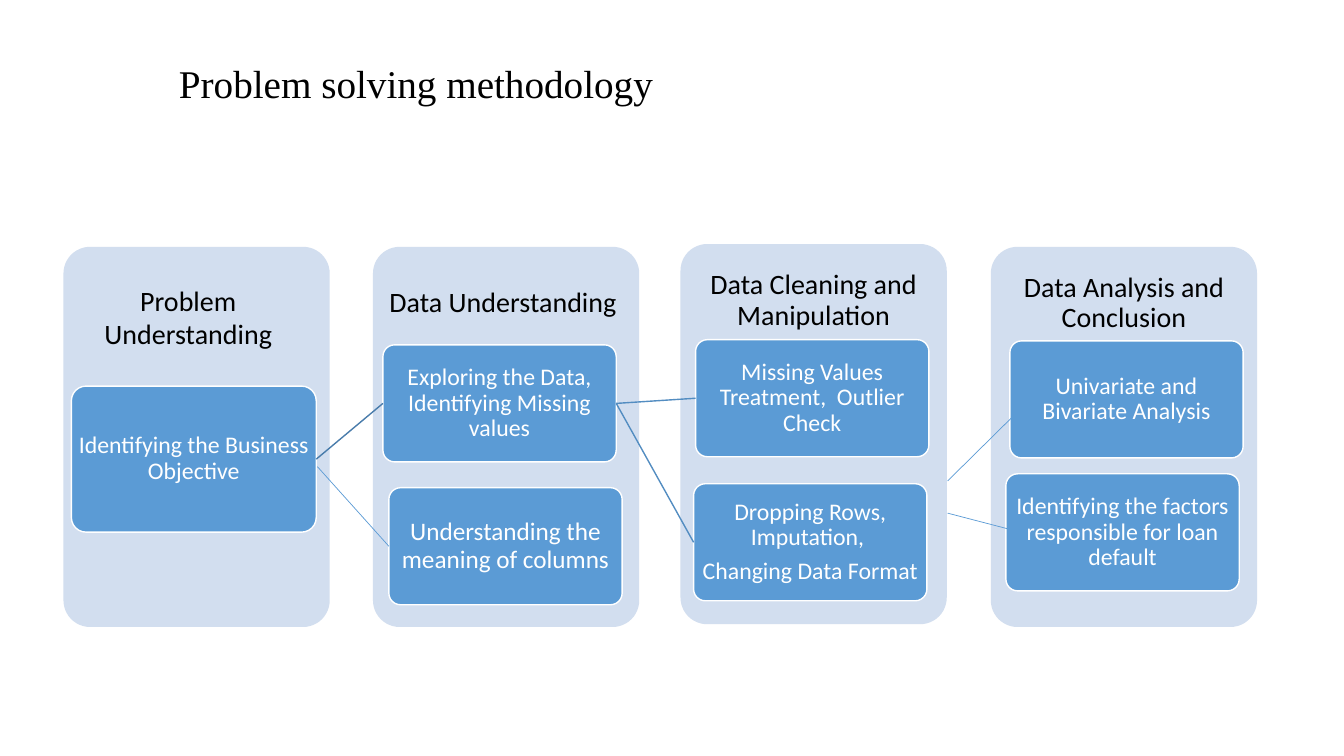
from lxml.etree import SubElement
from pptx import Presentation
from pptx.dml.color import RGBColor
from pptx.enum.shapes import MSO_CONNECTOR, MSO_SHAPE
from pptx.enum.text import MSO_ANCHOR, PP_ALIGN
from pptx.oxml.ns import qn
from pptx.util import Cm, Pt

BLACK = RGBColor(0x00, 0x00, 0x00)
WHITE = RGBColor(0xFF, 0xFF, 0xFF)
PALE_BLUE = RGBColor(0xD2, 0xDE, 0xEF)
BLUE = RGBColor(0x5B, 0x9B, 0xD5)
MID_BLUE = RGBColor(0x53, 0x8D, 0xC1)
DARK_BLUE = RGBColor(0x49, 0x7C, 0xAB)

PANEL_SIZE = (6.71, 9.58)
HEADING_HEIGHT = 2.87
STEP_SIZE = (5.88, 2.95)
LEFT_SIDE, RIGHT_SIDE = 1, 3

PANELS = [
    (1.6, 6.22, None),
    (9.4, 6.22, "Data Understanding "),
    (17.15, 6.15, "Data Cleaning and Manipulation"),
    (24.97, 6.22, "Data Analysis and Conclusion"),
]
STEPS = {
    "explore": (9.65, 8.69, 17, ["Exploring the Data, Identifying Missing values"]),
    "columns": (9.8, 12.29, 18, ["Understanding the meaning of columns"]),
    "missing": (17.53, 8.56, 17, ["Missing Values Treatment,  Outlier Check"]),
    "dropping": (17.48, 12.19, 17, ["Dropping Rows, Imputation, ", "Changing Data Format"]),
    "univariate": (25.45, 8.59, 17, ["Univariate and Bivariate Analysis"]),
    "factors": (25.35, 11.94, 17, ["Identifying the factors responsible for loan default"]),
}
JOINED_LINES = [
    ("objective", "explore", DARK_BLUE),
    ("explore", "missing", MID_BLUE),
    ("explore", "dropping", MID_BLUE),
]
ANALYSIS_LINES = [
    ((23.88, 12.93), (25.53, 13.36)),
    ((23.88, 12.12), (25.53, 10.49)),
]


class SlideBuilder:
    def __init__(self, page, font="Calibri"):
        self.page = page
        self.font = font

    def fill_text(self, shape, paragraphs, size, color, margin, spacing=0.9,
                  align=PP_ALIGN.CENTER, anchor=MSO_ANCHOR.MIDDLE, font=None):
        frame = shape.text_frame
        left, top, right, bottom = margin
        frame_format = {
            "word_wrap": True, "vertical_anchor": anchor,
            "margin_left": Cm(left), "margin_top": Cm(top),
            "margin_right": Cm(right), "margin_bottom": Cm(bottom),
        }
        for name, value in frame_format.items():
            setattr(frame, name, value)
        for index, text in enumerate(paragraphs):
            para = frame.paragraphs[0] if index == 0 else frame.add_paragraph()
            para_format = {"alignment": align, "line_spacing": spacing, "space_after": Pt(6)}
            for name, value in para_format.items():
                setattr(para, name, value)
            span = para.add_run()
            span.text = text
            for name, value in {"name": font or self.font, "size": Pt(size)}.items():
                setattr(span.font, name, value)
            span.font.color.rgb = color

    def label(self, left, top, width, height, text, size, **style):
        box = self.page.shapes.add_textbox(Cm(left), Cm(top), Cm(width), Cm(height))
        self.fill_text(box, [text], size, BLACK, **style)

    def rounded(self, left, top, width, height, fill, outline=None):
        box = self.page.shapes.add_shape(
            MSO_SHAPE.ROUNDED_RECTANGLE, Cm(left), Cm(top), Cm(width), Cm(height))
        box.shadow.inherit = False
        box.adjustments[0] = 0.1
        box.fill.solid()
        box.fill.fore_color.rgb = fill
        if outline is None:
            box.line.fill.background()
        else:
            box.line.color.rgb = outline
            box.line.width = Pt(1)
        return box

    def panel(self, left, top, heading):
        self.rounded(left, top, *PANEL_SIZE, PALE_BLUE)
        if heading:
            self.label(left, top, PANEL_SIZE[0], HEADING_HEIGHT, heading, 20, margin=[0.4] * 4)

    def step(self, left, top, size, paragraphs, extent=STEP_SIZE):
        box = self.rounded(left, top, *extent, BLUE, WHITE)
        self.fill_text(box, paragraphs, size, WHITE, margin=[0.03] * 4)
        return box

    def line(self, start, end, color, width, source=None, target=None):
        link = self.page.shapes.add_connector(
            MSO_CONNECTOR.STRAIGHT, *(Cm(value) for value in (*start, *end)))
        if source is not None:
            link.begin_connect(source, RIGHT_SIDE)
        if target is not None:
            link.end_connect(target, LEFT_SIDE)
        link.line.color.rgb = color
        link.line.width = Pt(width)
        SubElement(link._element.spPr, qn("a:effectLst"))


def main():
    deck = Presentation()
    deck.slide_width, deck.slide_height = Cm(33.87), Cm(19.05)
    builder = SlideBuilder(deck.slides.add_slide(deck.slide_layouts[6]))

    builder.label(3.91, 0.97, 25.88, 2.39, "Problem solving methodology", 28,
                  margin=(0.6, 0.13, 0.25, 0.13), align=PP_ALIGN.LEFT,
                  font="Times New Roman")
    for panel in PANELS:
        builder.panel(*panel)
    builder.label(2.18, 7.01, 5.13, 1.96, "Problem Understanding", 20,
                  margin=(0.25, 0.13, 0.25, 0.13), spacing=1.0, anchor=MSO_ANCHOR.TOP)

    boxes = {name: builder.step(*step) for name, step in STEPS.items()}
    boxes["objective"] = builder.step(
        1.8, 9.73, 17, ["Identifying the Business Objective"], extent=(6.17, 3.68))

    for source, target, color in JOINED_LINES:
        builder.line((0, 0), (1, 1), color, 1, boxes[source], boxes[target])
    builder.line((8, 11.76), (9.8, 13.77), BLUE, 0.5, target=boxes["columns"])
    for start, end in ANALYSIS_LINES:
        builder.line(start, end, BLUE, 0.5)

    deck.save("out.pptx")


if __name__ == "__main__":
    main()
